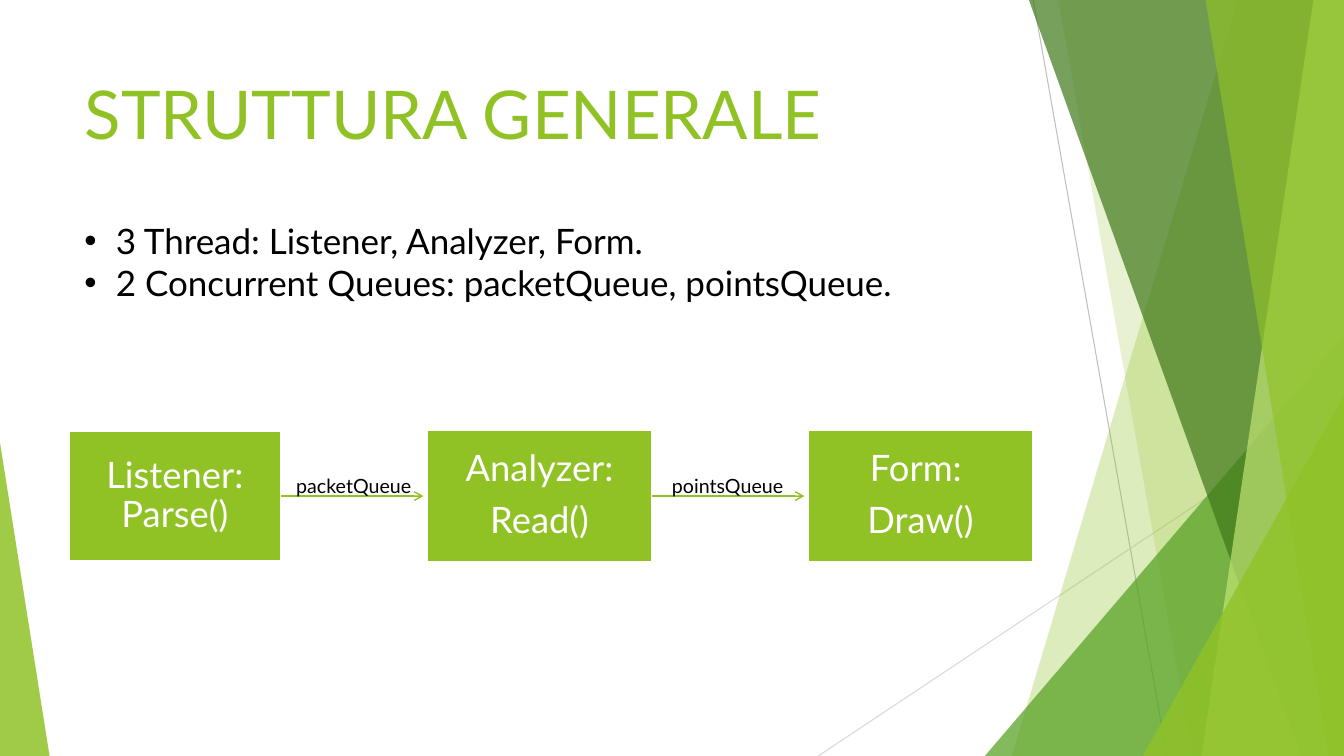
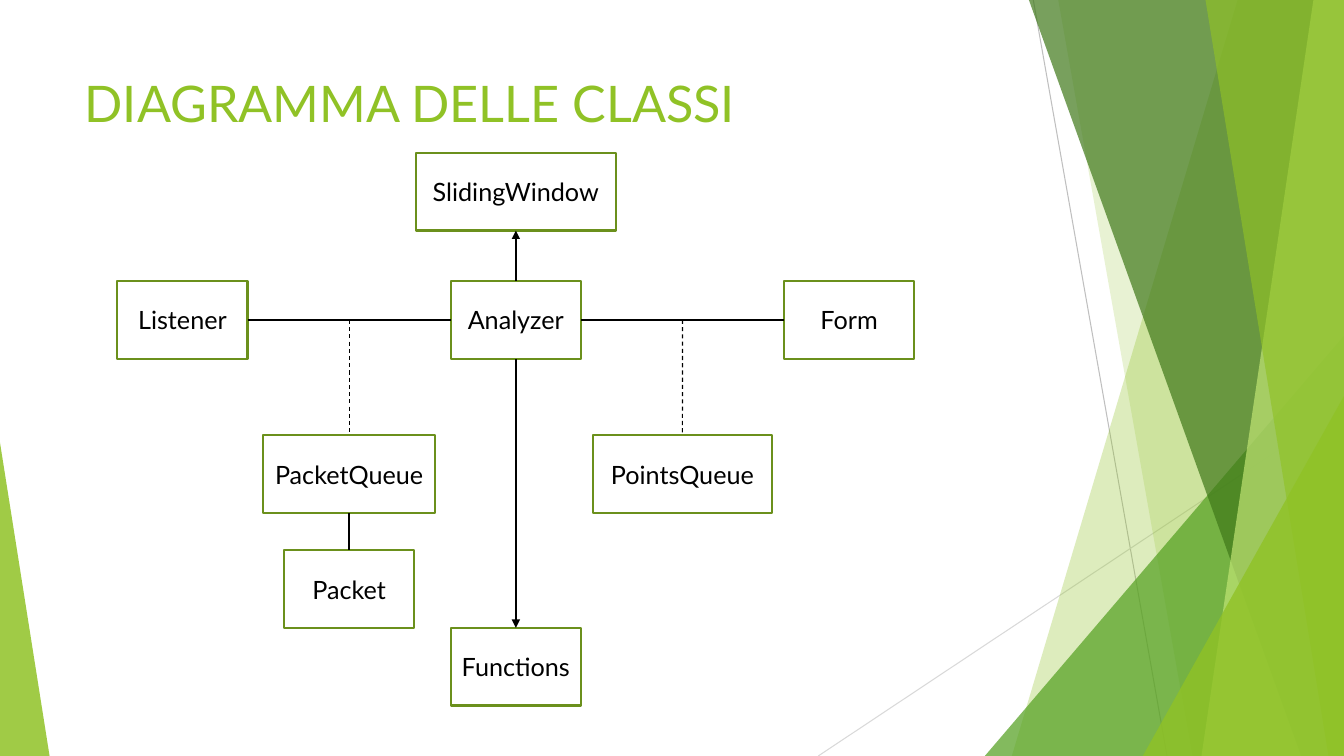
from lxml import etree
from pptx import Presentation
from pptx.dml.color import RGBColor
from pptx.enum.dml import MSO_LINE
from pptx.enum.shapes import MSO_CONNECTOR, MSO_SHAPE
from pptx.enum.text import MSO_ANCHOR, PP_ALIGN
from pptx.oxml.ns import qn
from pptx.util import Cm, Pt

STRAIGHT = MSO_CONNECTOR.STRAIGHT
RECTANGLE, TRIANGLE = MSO_SHAPE.RECTANGLE, MSO_SHAPE.ISOSCELES_TRIANGLE
TOP_ANCHOR, MIDDLE_ANCHOR = MSO_ANCHOR.TOP, MSO_ANCHOR.MIDDLE
LEFT_ALIGN, CENTER_ALIGN = PP_ALIGN.LEFT, PP_ALIGN.CENTER
DASH = MSO_LINE.DASH
TOP, LEFT, BOTTOM, RIGHT = range(4)  # connection sites of a rectangle

WHITE = RGBColor(0xFF, 0xFF, 0xFF)
BLACK = RGBColor(0x00, 0x00, 0x00)
GREEN = RGBColor(0x90, 0xC2, 0x26)
BORDER_GREEN = RGBColor(0x6B, 0x90, 0x1C)
LEAF = RGBColor(0x54, 0xA0, 0x21)
FOREST = RGBColor(0x3F, 0x78, 0x19)
LIME = RGBColor(0xC0, 0xE4, 0x74)
GREY = RGBColor(0xBF, 0xBF, 0xBF)
LIGHT_GREY = RGBColor(0xD9, 0xD9, 0xD9)
FONT = "Lato"

# Shared decoration, lengths in cm
SLIDE_WIDTH, SLIDE_HEIGHT = 33.87, 19.05
RAYS = [
    ((26.04, 0), (29.41, SLIDE_HEIGHT), GREY),
    ((SLIDE_WIDTH, 10.24), (20.62, SLIDE_HEIGHT), LIGHT_GREY),
]
# A band has the x of its left edge at top and bottom;
# a triangle has left, top, width, height and apex position.
FACETS = [
    ((31.19, 25.5), GREEN, 30),
    ((26.67, 30.05), GREEN, 20),
    ((24.82, 8.46, 9.05, 10.59, 1), LEAF, 72),
    ((25.93, 32.79), FOREST, 70),
    ((33.1, 30.28), LIME, 70),
    ((30.38, 33.48), GREEN, 65),
    ((28.8, 9.98, 5.07, 9.07, 1), GREEN, 80),
    ((0, 11.15, 1.25, 7.9, 0), GREEN, 85),
]

# General structure
STRUCTURE_TITLE = "STRUTTURA GENERALE"
SUMMARY = [
    "3 Thread: Listener, Analyzer, Form.",
    "2 Concurrent Queues: packetQueue, pointsQueue.",
]
THREADS = [  # lines, left, width, height
    (["Listener: Parse()"], 1.73, 5.36, 3.28),
    (["Analyzer:", "Read()"], 10.77, 5.66, 3.35),
    (["Form: ", "Draw()"], 20.37, 5.66, 3.35),
]
QUEUES = ["packetQueue", "pointsQueue"]
THREAD_MIDDLE, ARROW_GAP = 12.5, 0.1
LABEL_TOP, LABEL_WIDTH, LABEL_HEIGHT, LABEL_SHIFT = 11.81, 3.45, 0.86, 0.06

# Class diagram
CLASSES_TITLE = "DIAGRAMMA DELLE CLASSI"
FIRST_COLUMN, COLUMN_STEP = 4.6, 4.2
CLASS_WIDTH, CLASS_HEIGHT = 3.28, 1.96
MAIN_ROW, QUEUE_ROW = 8.06, 11.95
CLASSES = [  # name, column, middle, width
    ("Listener", 0, MAIN_ROW, CLASS_WIDTH),
    ("Analyzer", 2, MAIN_ROW, CLASS_WIDTH),
    ("Form", 4, MAIN_ROW, CLASS_WIDTH),
    ("PacketQueue", 1, QUEUE_ROW, 4.32),
    ("PointsQueue", 3, QUEUE_ROW, 4.52),
    ("Packet", 1, 14.85, CLASS_WIDTH),
    ("SlidingWindow", 2, 4.83, 5.03),
    ("Functions", 2, 16.8, CLASS_WIDTH),
]
LINKS = [  # class, site, class, site, line width, arrowhead
    ("Listener", RIGHT, "Analyzer", LEFT, 1.5, None),
    ("PacketQueue", BOTTOM, "Packet", TOP, 1, None),
    ("Analyzer", BOTTOM, "Functions", TOP, 1.5, "triangle"),
    ("Analyzer", TOP, "SlidingWindow", BOTTOM, 1.5, "triangle"),
    ("Analyzer", RIGHT, "Form", LEFT, 1.5, None),
]
ASSOCIATIONS = [("PacketQueue", 1), ("PointsQueue", 3)]


def set_values(target, values):
    for name, value in values.items():
        setattr(target, name, value)


def write(frame, lines, size, color, frame_format=None, paragraph_format=None):
    set_values(frame, {"word_wrap": True, **(frame_format or {})})
    for index, line in enumerate(lines):
        paragraph = frame.paragraphs[0] if index == 0 else frame.add_paragraph()
        set_values(paragraph, {"alignment": LEFT_ALIGN, **(paragraph_format or {})})
        run = paragraph.add_run()
        run.text = line
        set_values(run.font, {"name": FONT, "size": Pt(size)})
        run.font.color.rgb = color


def paint(shape, color, border=None, opacity=None):
    shape.shadow.inherit = False
    shape.fill.solid()
    shape.fill.fore_color.rgb = color
    if opacity:
        rgb = shape.element.spPr.find(qn("a:solidFill"))[0]
        etree.SubElement(rgb, qn("a:alpha"), val=str(opacity * 1000))
    if border:
        shape.line.color.rgb = border
        shape.line.width = Pt(1.5)
    else:
        shape.line.fill.background()


def add_line(slide, start, end, color, width, arrowhead=None, dash=None):
    points = [Cm(value) for value in (*start, *end)]
    connector = slide.shapes.add_connector(STRAIGHT, *points)
    connector.line.color.rgb = color
    connector.line.width = Pt(width)
    if dash:
        connector.line.dash_style = dash
    properties = connector.element.spPr
    if arrowhead:
        etree.SubElement(properties.find(qn("a:ln")), qn("a:tailEnd"), type=arrowhead)
    etree.SubElement(properties, qn("a:effectLst"))
    return connector


def add_box(slide, left, middle, width, height, fill, border):
    box = slide.shapes.add_shape(
        RECTANGLE, Cm(left), Cm(middle - height / 2), Cm(width), Cm(height))
    paint(box, fill, border)
    return box


def add_facet(slide, geometry, color, opacity):
    if len(geometry) == 2:
        top_x, bottom_x = geometry
        builder = slide.shapes.build_freeform(Cm(top_x), Cm(0))
        corners = [(SLIDE_WIDTH, 0), (SLIDE_WIDTH, SLIDE_HEIGHT), (bottom_x, SLIDE_HEIGHT)]
        builder.add_line_segments([(Cm(x), Cm(y)) for x, y in corners])
        facet = builder.convert_to_shape()
    else:
        *frame, apex = geometry
        facet = slide.shapes.add_shape(TRIANGLE, *map(Cm, frame))
        facet.adjustments[0] = apex
    paint(facet, color, opacity=opacity)
    return facet


def decorate_layout(layout, slide):
    """Build the decoration on a slide, then hand it to the shared layout."""
    decoration = [add_line(slide, *ray, 0.75) for ray in RAYS]
    decoration += [add_facet(slide, *facet) for facet in FACETS]
    for index, shape in enumerate(decoration):
        layout.shapes.element.insert(2 + index, shape.element)


def set_title(slide, text, size, height):
    title = slide.shapes.title
    set_values(title, {"left": Cm(1.88), "top": Cm(1.7),
                       "width": Cm(23.88), "height": Cm(height)})
    write(title.text_frame, [text], size, GREEN, {"vertical_anchor": TOP_ANCHOR})


def add_text(slide, left, top, width, height, lines, size):
    text_box = slide.shapes.add_textbox(Cm(left), Cm(top), Cm(width), Cm(height))
    write(text_box.text_frame, lines, size, BLACK)
    return text_box


presentation = Presentation()
presentation.slide_width = Cm(SLIDE_WIDTH)
presentation.slide_height = Cm(SLIDE_HEIGHT)
title_only = presentation.slide_layouts[5]

# Slide 1: threads joined by queues
slide = presentation.slides.add_slide(title_only)
decorate_layout(title_only, slide)
set_title(slide, STRUCTURE_TITLE, 48, 3.66)

summary = add_text(slide, 1.88, 5.41, 22.28, 2.39, SUMMARY, 25)
indent = Cm(0.79)
for paragraph in summary.text_frame.paragraphs:
    properties = paragraph._p.get_or_add_pPr()
    properties.set("marL", str(indent))
    properties.set("indent", str(-indent))
    etree.SubElement(properties, qn("a:buFont"), typeface="Arial")
    etree.SubElement(properties, qn("a:buChar"), char="•")

margins = {f"margin_{side}": Cm(0.5) for side in ("left", "top", "right", "bottom")}
for lines, left, width, height in THREADS:
    box = add_box(slide, left, THREAD_MIDDLE, width, height, GREEN, WHITE)
    write(box.text_frame, lines, 26, WHITE,
          {"vertical_anchor": MIDDLE_ANCHOR, **margins},
          {"alignment": CENTER_ALIGN, "line_spacing": 0.9, "space_after": Pt(9)})

for queue, sender, receiver in zip(QUEUES, THREADS, THREADS[1:]):
    start = sender[1] + sender[2]
    end = receiver[1] - ARROW_GAP
    add_line(slide, (start, THREAD_MIDDLE), (end, THREAD_MIDDLE), GREEN, 1, "arrow")
    label_left = (start + end - LABEL_WIDTH) / 2 + LABEL_SHIFT
    add_text(slide, label_left, LABEL_TOP, LABEL_WIDTH, LABEL_HEIGHT, [queue], 14)

# Slide 2: class diagram
slide = presentation.slides.add_slide(title_only)
set_title(slide, CLASSES_TITLE, 36, 2.64)

boxes = {}
for name, column, middle, width in CLASSES:
    left = FIRST_COLUMN + column * COLUMN_STEP - width / 2
    boxes[name] = add_box(slide, left, middle, width, CLASS_HEIGHT, WHITE, BORDER_GREEN)
    write(boxes[name].text_frame, [name], 18, BLACK,
          {"vertical_anchor": MIDDLE_ANCHOR, "word_wrap": False},
          {"alignment": CENTER_ALIGN})

for source, source_site, target, target_site, width, arrowhead in LINKS:
    connector = add_line(slide, (0, 0), (1, 1), BLACK, width, arrowhead)
    connector.begin_connect(boxes[source], source_site)
    connector.end_connect(boxes[target], target_site)

for queue, column in ASSOCIATIONS:
    x = FIRST_COLUMN + column * COLUMN_STEP
    connector = add_line(slide, (x, MAIN_ROW), (x, QUEUE_ROW), BLACK, 0.75, dash=DASH)
    connector.end_connect(boxes[queue], TOP)

presentation.save("out.pptx")
